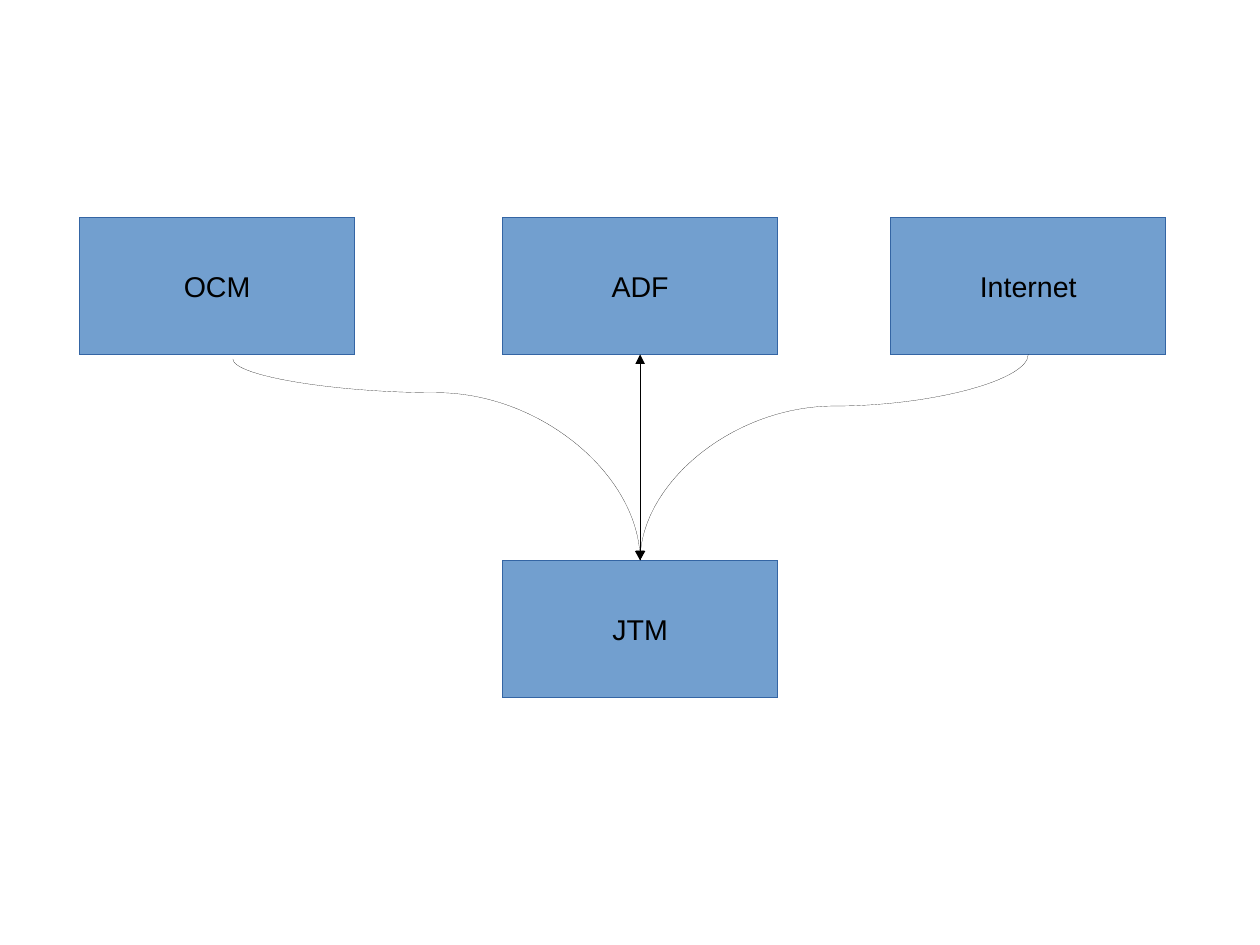
from pptx import Presentation
from pptx.dml.color import RGBColor
from pptx.enum.shapes import MSO_CONNECTOR, MSO_SHAPE
from pptx.enum.text import MSO_ANCHOR, PP_ALIGN
from pptx.oxml.ns import qn
from pptx.util import Pt
from lxml.etree import SubElement

RECT = MSO_SHAPE.RECTANGLE
CURVE = MSO_CONNECTOR.CURVE
LINE = MSO_CONNECTOR.STRAIGHT
MIDDLE = MSO_ANCHOR.MIDDLE
CENTER = PP_ALIGN.CENTER

SCALE = 9000
WIDE, HIGH = 244, 122
TOP, LOW = 193, 498
BASE = TOP + HIGH
LEFT, MID, RIGHT = 71, 447, 792
HALF = WIDE // 2
HUB = MID + HALF


def px(size):
    """Turn px into EMU."""
    return int(size * SCALE)


def paint(part, code):
    """Give a fill or a line a colour from a hex string."""
    part.solid()
    part.fore_color.rgb = RGBColor.from_string(code)


class Sketch:
    """Draws boxes and arrows on one slide in one style."""

    font, size, ink = "Arial", 18, "000000"
    face, edge = "729FCF", "3465A4"

    def __init__(self, slide):
        """Keep the slide to draw on."""
        self.shapes = slide.shapes

    def thin(self, shape, code):
        """Give a shape a hairline free of the theme style."""
        paint(shape.line.fill, code)
        shape.element.remove(shape.element.find(qn("p:style")))
        line = shape.element.spPr.find(qn("a:ln"))
        line.set("w", "0")
        return line

    def box(self, text, left, top):
        """Add a labelled box."""
        box = self.shapes.add_shape(RECT, px(left), px(top), px(WIDE), px(HIGH))
        box.shadow.inherit = False
        paint(box.fill, self.face)
        self.thin(box, self.edge)
        frame = box.text_frame
        frame.text = text
        frame.word_wrap = False
        frame.vertical_anchor = MIDDLE
        label = frame.paragraphs[0]
        label.alignment = CENTER
        font = label.runs[0].font
        font.name, font.size = self.font, Pt(self.size)
        paint(font.fill, self.ink)

    def arrow(self, kind, start, end):
        """Add a thin connector with an arrowhead at its end."""
        link = self.shapes.add_connector(kind, *map(px, start + end))
        line = self.thin(link, self.ink)
        SubElement(line, qn("a:tailEnd"), type="triangle")
        props = link.element.spPr
        SubElement(props, qn("a:effectLst"))
        return props

    def curve(self, start, end, bend):
        """Add an arrow that leaves downward and bends after some px."""
        (x1, y1), (x2, y2) = start, end
        mid_x, mid_y = (x1 + x2) / 2, (y1 + y2) / 2
        drop, reach = (y2 - y1) / 2, abs(x2 - x1) / 2
        props = self.arrow(CURVE, (mid_x - drop, mid_y - reach),
                           (mid_x + drop, mid_y + reach))
        frame = props.find(qn("a:xfrm"))
        frame.set("rot", str((270 if x2 > x1 else 90) * 60000))
        if x2 > x1:
            frame.set("flipH", "1")
        shape = props.find(qn("a:prstGeom"))
        share = round(bend / (y2 - y1) * 100000)
        SubElement(shape.find(qn("a:avLst")), qn("a:gd"), name="adj1",
                   fmla=f"val {share}")


def main():
    """Build the slide and save it."""
    deck = Presentation()
    deck.slide_width, deck.slide_height = px(1120), px(840)
    sketch = Sketch(deck.slides.add_slide(deck.slide_layouts[6]))
    for text, left, top in (("OCM", LEFT, TOP), ("ADF", MID, TOP),
                            ("Internet", RIGHT, TOP), ("JTM", MID, LOW)):
        sketch.box(text, left, top)
    sketch.curve((207, 319), (HUB, LOW), 30)
    sketch.arrow(LINE, (HUB, LOW), (HUB, BASE))
    sketch.curve((RIGHT + HALF, BASE), (HUB, LOW), 46)
    deck.save("out.pptx")


if __name__ == "__main__":
    main()
